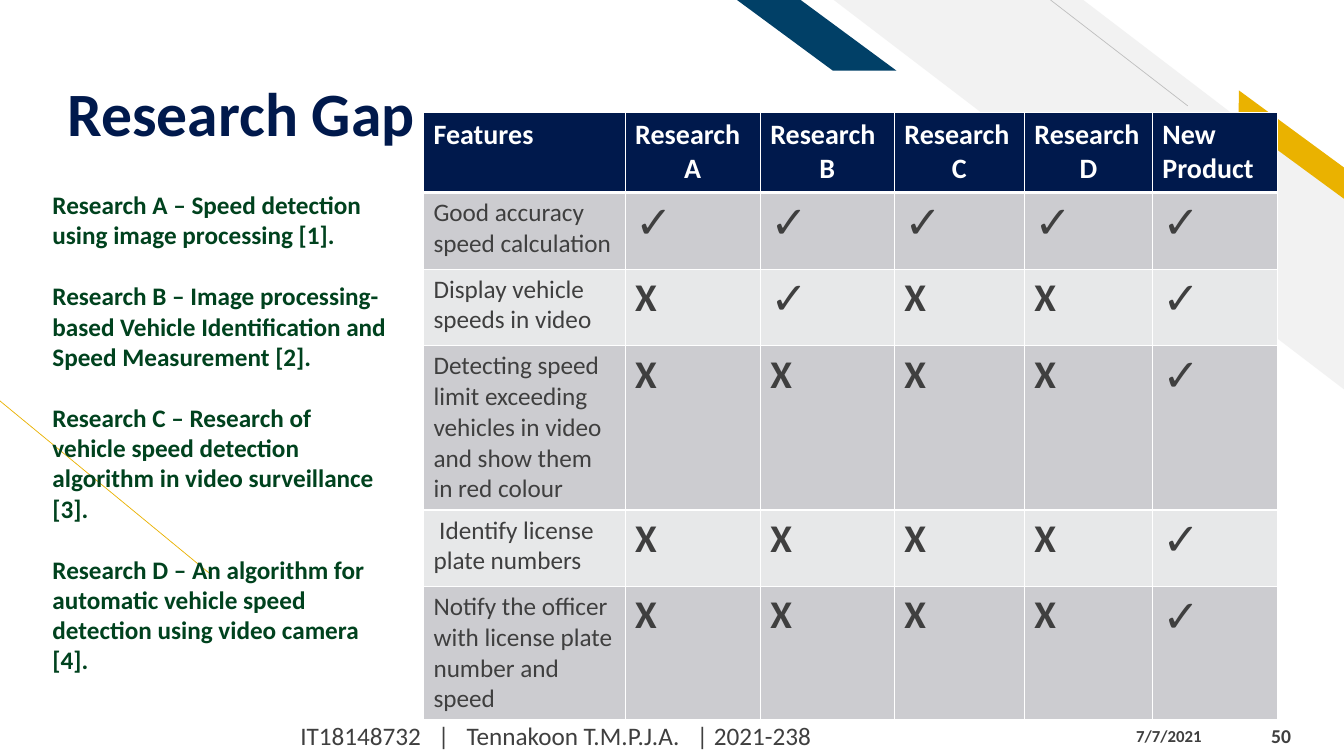
import pptx
import pptx.util
import pptx.dml.color
import pptx.enum.shapes
import pptx.enum.text
import pptx.oxml
import lxml.etree

Inches = pptx.util.Inches
Pt = pptx.util.Pt
RGBColor = pptx.dml.color.RGBColor
MSO_SHAPE = pptx.enum.shapes.MSO_SHAPE
ANCHOR = pptx.enum.text.MSO_ANCHOR
ALIGN = pptx.enum.text.PP_ALIGN

NAVY = RGBColor(0x00, 0x19, 0x4C)
TEAL = RGBColor(0x01, 0x40, 0x67)
GOLD = RGBColor(0xEA, 0xB2, 0x00)
GREEN = RGBColor(0x00, 0x42, 0x1E)
PALE = RGBColor(0xF2, 0xF2, 0xF2)
SILVER = RGBColor(0xBF, 0xBF, 0xBF)
CHARCOAL = RGBColor(0x3F, 0x3F, 0x3F)
WHITE = RGBColor(0xFF, 0xFF, 0xFF)
BANDS = [RGBColor(0xCC, 0xCC, 0xD0), RGBColor(0xE7, 0xE8, 0xE9)]
DRAWING = "http://schemas.openxmlformats.org/drawingml/2006/main"


def set_font(paragraph, size, color, bold=False, name="Calibri"):
    paragraph.font.name = name
    paragraph.font.size = Pt(size)
    paragraph.font.bold = bold
    paragraph.font.color.rgb = color


def set_borders(cell, bottom):
    properties = cell._tc.get_or_add_tcPr()
    for side, width in [("L", 1), ("R", 1), ("T", 1), ("B", bottom)]:
        properties.append(pptx.oxml.parse_xml(
            f'<a:ln{side} xmlns:a="{DRAWING}" w="{Pt(width)}"><a:solidFill>'
            f'<a:srgbClr val="{WHITE}"/></a:solidFill></a:ln{side}>'))


deck = pptx.Presentation()
deck.slide_width = Inches(13.33)
deck.slide_height = Inches(7.5)
page = deck.slides.add_slide(deck.slide_layouts[1])
shapes = page.shapes
title, studies = page.placeholders

stripes = [
    (MSO_SHAPE.DIAGONAL_STRIPE, (8.27, 0, 5.07, 3.87), 0.512, 0, PALE),
    (MSO_SHAPE.PARALLELOGRAM, (12.07, 1.31, 1.48, 0.25), 0.72, 36.3, GOLD),
    (MSO_SHAPE.PARALLELOGRAM, (7.31, 0, 1.58, 0.7), 1.356, 0, TEAL),
]
for kind, place, adjustment, rotation, color in stripes:
    stripe = shapes.add_shape(kind, *map(Inches, place))
    stripe.adjustments[0] = adjustment
    stripe.rotation = rotation
    stripe.element.spPr.get_or_add_xfrm().set("flipH", "1")
    stripe.shadow.inherit = False
    stripe.fill.solid()
    stripe.fill.fore_color.rgb = color
    stripe.line.fill.background()

for ends, color in [((2.08, 5.69, -0.01, 3.97), GOLD), ((11.78, 1.05, 10.42, 0), SILVER)]:
    hairline = shapes.add_connector(
        pptx.enum.shapes.MSO_CONNECTOR.STRAIGHT, *map(Inches, ends))
    hairline.line.color.rgb = color
    hairline.line.width = Pt(0.5)
    lxml.etree.SubElement(hairline.element.spPr, f"{{{DRAWING}}}effectLst")

shapes.element.append(title.element)
title.left, title.top, title.width, title.height = map(Inches, (0.57, 0.23, 11.85, 1.26))
title.text_frame.text = "Research Gap"
title.text_frame.auto_size = pptx.enum.text.MSO_AUTO_SIZE.NONE
title.text_frame.vertical_anchor = ANCHOR.BOTTOM
title.text_frame.margin_bottom = 0
heading = title.text_frame.paragraphs[0]
heading.alignment = ALIGN.LEFT
heading.line_spacing = 0.9
set_font(heading, 44, NAVY, True)

X, Y = "X", "✓"
features = [
    ("Good accuracy speed calculation", [Y, Y, Y, Y, Y]),
    ("Display vehicle speeds in video", [X, Y, X, X, Y]),
    ("Detecting speed limit exceeding vehicles in video and show them in red colour", [X, X, X, X, Y]),
    (" Identify license plate numbers", [X, X, X, X, Y]),
    ("Notify the officer with license plate number and speed", [X, X, X, X, Y]),
]
headers = ["Features", "Research\nA", "Research\nB", "Research\nC", "Research\nD", "New\nProduct"]
widths = [2, 1.34, 1.33, 1.29, 1.27, 1.24]
heights = [0.79, 0.76, 0.76, 1.63, 0.76, 1.32]

frame = shapes.add_table(len(heights), len(widths), Inches(4.2), Inches(1.12),
                         Inches(sum(widths)), Inches(sum(heights)))
table = frame.table
for column, width in zip(table.columns, widths):
    column.width = Inches(width)
for row, height in zip(table.rows, heights):
    row.height = Inches(height)

for column, header in enumerate(headers):
    cell = table.cell(0, column)
    cell.text = header
    set_borders(cell, 3)
    cell.fill.solid()
    cell.fill.fore_color.rgb = NAVY
    for para in cell.text_frame.paragraphs:
        set_font(para, 20, WHITE, True)
        if len(para.text) == 1:
            para.alignment = ALIGN.CENTER

for row, (feature, marks) in enumerate(features, 1):
    for column, wording in enumerate([feature, *marks]):
        cell = table.cell(row, column)
        cell.text = wording
        set_borders(cell, 1)
        cell.fill.solid()
        cell.fill.fore_color.rgb = BANDS[(row - 1) % 2]
        para = cell.text_frame.paragraphs[0]
        if wording == Y:
            set_font(para, 32, CHARCOAL, True, "Arial")
        elif wording == X:
            set_font(para, 28, CHARCOAL, True)
        else:
            set_font(para, 18, CHARCOAL)

footers = [
    ("IT18148732   |   Tennakoon T.M.P.J.A.   | 2021-238", (2.88, 7.1, 7.45, 0.4), 18, False),
    ("7/7/2021", (11.17, 7.15, 1.25, 0.3), 12, True),
    ("50", (12.51, 7.1, 0.74, 0.4), 14, True),
]
for wording, place, size, bold in footers:
    box = shapes.add_textbox(*map(Inches, place))
    box.text_frame.word_wrap = True
    box.text_frame.vertical_anchor = ANCHOR.MIDDLE
    box.text_frame.text = wording
    set_font(box.text_frame.paragraphs[0], size, CHARCOAL, bold)

shapes.element.append(studies.element)
studies.left, studies.top, studies.width, studies.height = map(Inches, (0.42, 1.83, 3.53, 5.2))
studies.text_frame.auto_size = pptx.enum.text.MSO_AUTO_SIZE.NONE
studies.text_frame.text = "\n".join([
    "Research A – Speed detection using image processing [1].",
    "Research B – Image processing-based Vehicle Identification and Speed Measurement [2].",
    "Research C – Research of vehicle speed detection algorithm in video surveillance [3].",
    "Research D – An algorithm for automatic vehicle speed detection using video camera [4].",
])
for index, para in enumerate(studies.text_frame.paragraphs):
    properties = para._p.get_or_add_pPr()
    properties.set("marL", "0")
    properties.set("indent", "0")
    lxml.etree.SubElement(properties, f"{{{DRAWING}}}buNone")
    para.space_before = Pt(22 if index else 0)
    set_font(para, 18, GREEN, True)

deck.save("out.pptx")
